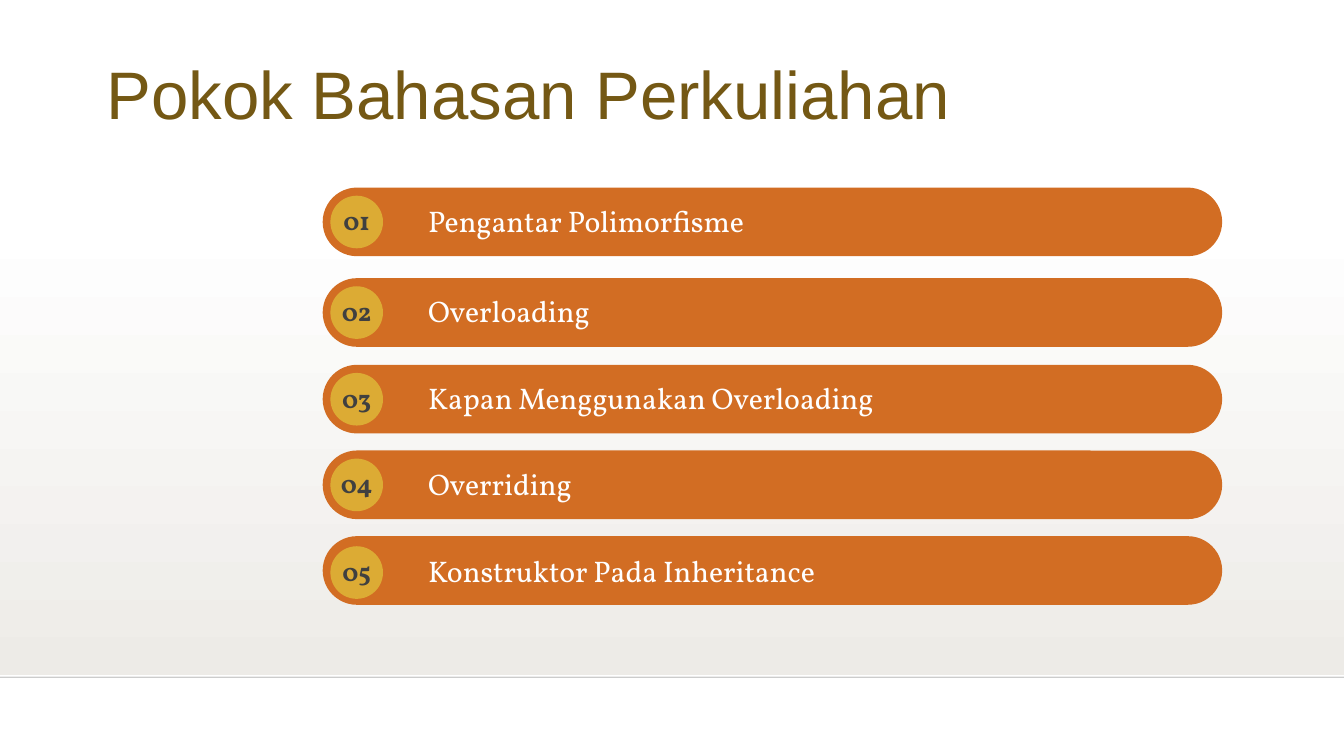
import pptx
import pptx.dml.color
import pptx.enum.shapes
import pptx.enum.text
import pptx.oxml
import pptx.oxml.ns
import pptx.util

Pt = pptx.util.Pt
RGBColor = pptx.dml.color.RGBColor
SHAPES = pptx.enum.shapes.MSO_SHAPE
ALIGN = pptx.enum.text.PP_ALIGN

WHITE = RGBColor(0xFF, 0xFF, 0xFF)
SAND = RGBColor(0xED, 0xEB, 0xE7)
BLACK = RGBColor(0x00, 0x00, 0x01)
BROWN = RGBColor(0x74, 0x58, 0x14)
ORANGE = RGBColor(0xD2, 0x6D, 0x23)
GOLD = RGBColor(0xDC, 0xAB, 0x34)
GREY = RGBColor(0x40, 0x40, 0x40)

SLIDE_WIDTH = 960
SLIDE_HEIGHT = 540
FLOOR_TOP = 483.8

TOPICS = [
    ("01", "Pengantar Polimorfisme", 134, 5.8),
    ("02", "Overloading", 198.7, 5.8),
    ("03", "Kapan Menggunakan Overloading", 260.6, 5.8),
    ("04", "Overriding", 321.8, 5.8),
    ("05", "Konstruktor Pada Inheritance", 383, 7.2),
]


def add_plain_shape(slide, kind, left, top, width, height):
    shape = slide.shapes.add_shape(kind, Pt(left), Pt(top), Pt(width), Pt(height))
    shape.shadow.inherit = False
    shape.line.fill.background()
    return shape


def add_filled_shape(slide, kind, left, top, width, height, color):
    shape = add_plain_shape(slide, kind, left, top, width, height)
    shape.fill.solid()
    shape.fill.fore_color.rgb = color
    return shape


def add_backdrop(slide):
    backdrop = add_plain_shape(slide, SHAPES.RECTANGLE, 0, 158.4, SLIDE_WIDTH, 324)
    backdrop.fill.gradient()
    backdrop.fill.gradient_angle = 270
    for stop, color, position in zip(backdrop.fill.gradient_stops, (WHITE, SAND), (0, 1)):
        stop.color.rgb = color
        stop.position = position


def add_floor_line(slide):
    line = slide.shapes.add_connector(
        pptx.enum.shapes.MSO_CONNECTOR.STRAIGHT,
        Pt(0), Pt(FLOOR_TOP), Pt(SLIDE_WIDTH), Pt(FLOOR_TOP))
    line.line.width = Pt(1)
    line.line.color.rgb = BLACK
    properties = line._element.spPr
    color = properties.find(".//" + pptx.oxml.ns.qn("a:srgbClr"))
    pptx.oxml.ns.qn("a:alpha")
    alpha = color.makeelement(pptx.oxml.ns.qn("a:alpha"), {"val": "20000"})
    color.append(alpha)
    properties.append(properties.makeelement(pptx.oxml.ns.qn("a:effectLst"), {}))


def add_text_run(para, text, font, size, color, bold=False):
    span = para.add_run()
    span.text = text
    span.font.name = font
    span.font.size = Pt(size)
    span.font.bold = bold
    span.font.color.rgb = color


def set_title(slide, text):
    title = slide.shapes.title
    title.left, title.top = Pt(0), Pt(36)
    title.width, title.height = Pt(SLIDE_WIDTH), Pt(60.5)
    frame = title.text_frame
    frame.margin_left = Pt(76)
    frame.vertical_anchor = pptx.enum.text.MSO_ANCHOR.MIDDLE
    frame.auto_size = pptx.enum.text.MSO_AUTO_SIZE.NONE
    para = frame.paragraphs[0]
    para.alignment = ALIGN.LEFT
    add_text_run(para, text, "Arial", 48, BROWN)


def add_label(slide, text, left, top, width, height, size, color, alignment, bold=False):
    box = slide.shapes.add_textbox(Pt(left), Pt(top), Pt(width), Pt(height))
    box.text_frame.word_wrap = True
    box.text_frame.auto_size = pptx.enum.text.MSO_AUTO_SIZE.SHAPE_TO_FIT_TEXT
    para = box.text_frame.paragraphs[0]
    para.alignment = alignment
    add_text_run(para, text, "Vollkorn", size, color, bold)


def add_topic(slide, number, name, top, badge_drop):
    badge_top = top + badge_drop
    bar = add_filled_shape(slide, SHAPES.ROUNDED_RECTANGLE, 230.5, top, 642.5, 49, ORANGE)
    bar.adjustments[0] = 0.5
    add_filled_shape(slide, SHAPES.OVAL, 236, badge_top, 37.6, 37.6, GOLD)
    add_label(slide, name, 298.7, badge_top + 1.2, 509, 33, 21.3, WHITE, ALIGN.LEFT)
    add_label(slide, number, 233.2, badge_top + 2.9, 43.2, 30, 18.7, GREY,
              ALIGN.CENTER, bold=True)


def main():
    deck = pptx.Presentation()
    deck.slide_width = Pt(SLIDE_WIDTH)
    deck.slide_height = Pt(SLIDE_HEIGHT)
    page = deck.slides.add_slide(deck.slide_layouts[5])
    page.background.fill.solid()
    page.background.fill.fore_color.rgb = WHITE
    add_backdrop(page)
    add_floor_line(page)
    set_title(page, "Pokok Bahasan Perkuliahan")
    for topic in TOPICS:
        add_topic(page, *topic)
    deck.save("out.pptx")


if __name__ == "__main__":
    main()
